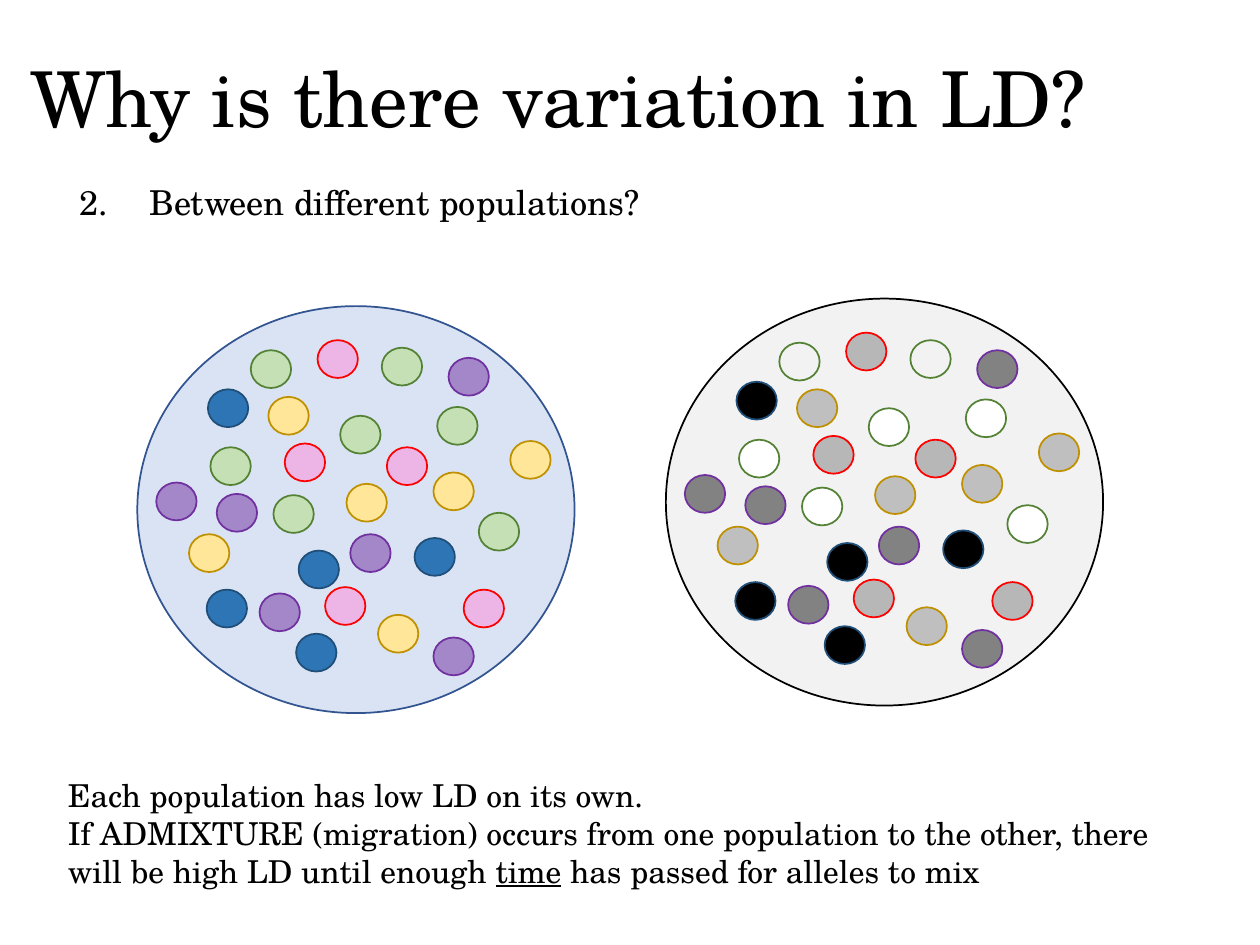
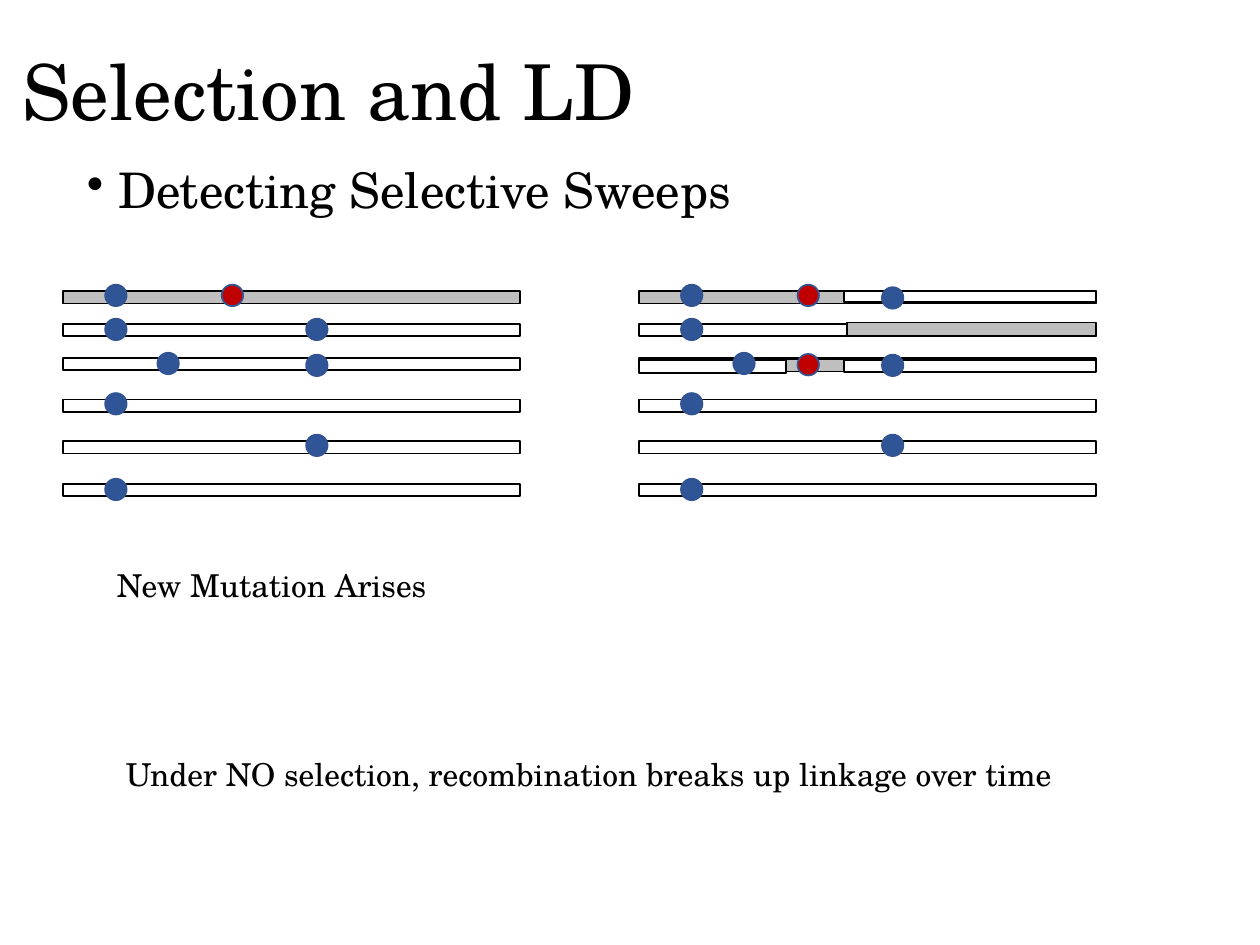
from lxml import etree
from pptx import Presentation
from pptx.dml.color import RGBColor
from pptx.enum.shapes import MSO_SHAPE
from pptx.enum.text import MSO_ANCHOR, MSO_AUTO_SIZE
from pptx.oxml.ns import qn
from pptx.util import Inches, Pt

OVAL, BAR = MSO_SHAPE.OVAL, MSO_SHAPE.RECTANGLE
MIDDLE, GROW = MSO_ANCHOR.MIDDLE, MSO_AUTO_SIZE.SHAPE_TO_FIT_TEXT

COLORS = {
    "black": "000000", "white": "FFFFFF", "gray": "BFBFBF", "pale gray": "F2F2F2",
    "mid gray": "808080", "charcoal": "181717", "pale blue": "DAE3F3",
    "outline blue": "325491", "marker blue": "2F5597", "blue": "2E75B6",
    "navy": "1F4E79", "light green": "C5E0B4", "green": "548235",
    "yellow": "FFE699", "gold": "BF9000", "pink": "FF8AD8", "red": "FF0000",
    "purple": "7030A0", "dark red": "C00000",
}
FONT = "TeX Gyre Schola"
TITLE = {"size": 44, "frame": {"word_wrap": True, "vertical_anchor": MIDDLE},
         "spacing": 0.9}
NOTE = {"size": 18, "frame": {"word_wrap": False, "auto_size": GROW}, "spacing": 1.0}
NUMBERED = {"size": 19.6, "frame": {"word_wrap": True}, "spacing": 1.8, "hang": 0.56,
            "bullet": ("a:buAutoNum", {"type": "arabicPeriod", "startAt": "2"})}
BULLETED = {"size": 28, "frame": {"word_wrap": True}, "spacing": 0.9, "hang": 0.25,
            "bullet": ("a:buChar", {"char": "•"})}

deck = Presentation()
deck.slide_width, deck.slide_height = Inches(10), Inches(7.5)
# The slide is a grid of 100 columns by 75 rows of square cells.
CELL = deck.slide_width / 100
blank = deck.slide_layouts[6]


def write(slide, cells, style, *lines):
    """Add a text box; a line is a list of runs, and odd runs are underlined."""
    frame = slide.shapes.add_textbox(*[round(n * CELL) for n in cells]).text_frame
    for key, value in style["frame"].items():
        setattr(frame, key, value)
    for number, runs in enumerate(lines):
        paragraph = frame.add_paragraph() if number else frame.paragraphs[0]
        if "bullet" in style:
            tag, attributes = style["bullet"]
            properties = paragraph._p.get_or_add_pPr()
            hang = Inches(style["hang"])
            properties.set("marL", str(hang))
            properties.set("indent", str(-hang))
            etree.SubElement(properties, qn(tag), attributes)
        paragraph.line_spacing = style["spacing"]
        for position, text in enumerate(runs):
            run = paragraph.add_run()
            run.text = text
            run.font.name, run.font.size = FONT, Pt(style["size"])
            run.font.color.rgb = RGBColor.from_string(COLORS["black"])
            if position % 2:
                run.font.underline = True


def draw(parent, kind, cells, fill, line, opacity=100):
    shape = parent.shapes.add_shape(kind, *[round(n * CELL) for n in cells])
    shape.shadow.inherit = False
    shape.line.width = Pt(1)
    shape.line.color.rgb = RGBColor.from_string(COLORS[line])
    shape.fill.solid()
    shape.fill.fore_color.rgb = RGBColor.from_string(COLORS[fill])
    if opacity < 100:
        color = shape._element.spPr.find(qn("a:solidFill"))[0]
        etree.SubElement(color, qn("a:alpha"), val=str(opacity * 1000))


# Slide 1: two populations with the same spread of alleles
variation = deck.slides.add_slide(blank)
write(variation, (1.4, 0.9, 86.2, 14.5), TITLE, ["Why is there variation in LD?"])
write(variation, (5.3, 11.3, 86.2, 7.5), NUMBERED, ["Between different populations?"])

# Each family: outline, opacity, places within the first population
FAMILIES = {
    "inner green": ("green", 100, [(21.7, 39.3), (16.7, 35.5), (34.7, 32.3),
                                   (38, 40.7), (27, 33)]),
    "upper green": ("green", 100, [(30.3, 27.6), (19.9, 27.8)]),
    "yellow": ("gold", 100, [(15, 42.4), (27.5, 38.4), (34.4, 37.5), (21.3, 31.5),
                             (40.5, 35), (30, 48.8)]),
    "blue": ("navy", 100, [(23.5, 50.3), (16.4, 46.8), (16.5, 30.9), (23.7, 43.7),
                           (32.9, 42.7)]),
    "pink": ("red", 51, [(25.8, 46.6), (22.6, 35.2), (36.8, 46.8), (30.7, 35.5),
                         (25.2, 27)]),
    "purple": ("purple", 51, [(17.2, 39.2), (20.6, 47.1), (34.4, 50.6), (35.6, 28.4),
                              (27.8, 42.4), (12.4, 38.3)]),
}
# Each population: shift right, shift down, fill, outline, fill of each family
POPULATIONS = [
    (0, 0, "pale blue", "outline blue",
     ["light green", "light green", "yellow", "blue", "pink", "purple"]),
    (41.95, -0.6, "pale gray", "black",
     ["white", "pale gray", "gray", "black", "mid gray", "charcoal"]),
]
for right, down, habitat, border, allele_fills in POPULATIONS:
    population = variation.shapes.add_group_shape()
    draw(population, OVAL, (10.9 + right, 24.3 + down, 34.7, 32.3), habitat, border)
    for (outline, opacity, places), fill in zip(FAMILIES.values(), allele_fills):
        for x, y in places:
            draw(population, OVAL, (x + right, y + down, 3.2, 3), fill, outline, opacity)

write(variation, (4.4, 61.1, 88.9, 10.1), NOTE,
      ["Each population has low LD on its own."],
      ["If ADMIXTURE (migration) occurs from one population to the other, there"],
      ["will be high LD until enough ", "time", " has passed for alleles to mix"])

# Slide 2: chromosomes before and after recombination
selection = deck.slides.add_slide(blank)
write(selection, (0.8, 1.3, 86.2, 12.6), TITLE, ["Selection and LD"])
write(selection, (5.9, 12.7, 86.2, 6.1), BULLETED, ["Detecting Selective Sweeps"])

STRAND_TOPS = [23.1, 25.7, 28.4, 31.7, 35, 38.4]
STRAND_WIDTH = 36.3
SITE_A, SITE_B, NEW_SITE, SITE_C = 3.35, 7.5, 12.6, 19.3
# Markers found on both sides: site, top
SHARED_MARKERS = [(SITE_A, 22.6), (SITE_A, 25.3), (SITE_B, 28), (SITE_C, 28.15),
                  (SITE_A, 31.2), (SITE_C, 34.5), (SITE_A, 38)]
# Recombined pieces: start, top, width, height, fill
PIECES = [
    (16.3, 23.1, 20, 0.9, "white"),
    (16.5, 25.6, 19.8, 1.1, "gray"),
    (0, 28.5, STRAND_WIDTH, 1, "gray"),
    (16.3, 28.6, 20, 0.9, "white"),
    (0, 28.6, 11.7, 1, "white"),
]
# Each side: left edge, pieces, extra blue markers, tops of the new mutation
SIDES = [
    (5, [], [(SITE_C, 25.3)], [22.6]),
    (50.7, PIECES, [(SITE_C, 22.8)], [22.6, 28.1]),
]
for left, pieces, extra_markers, mutation_tops in SIDES:
    chromosomes = selection.shapes.add_group_shape()
    for row, top in enumerate(STRAND_TOPS):
        draw(chromosomes, BAR, (left, top, STRAND_WIDTH, 1),
             "white" if row else "gray", "black")
    for start, top, width, height, fill in pieces:
        draw(chromosomes, BAR, (left + start, top, width, height), fill, "black")
    markers = [(site, top, "marker blue") for site, top in SHARED_MARKERS + extra_markers]
    markers += [(NEW_SITE, top, "dark red") for top in mutation_tops]
    for site, top, fill in markers:
        draw(chromosomes, OVAL, (left + site, top, 1.7, 1.7), fill, "outline blue")

write(selection, (8.3, 44.4, 26.9, 4), NOTE, ["New Mutation Arises"])
write(selection, (9, 59.4, 78, 4), NOTE,
      ["Under NO selection, recombination breaks up linkage over time"])

deck.save("out.pptx")
